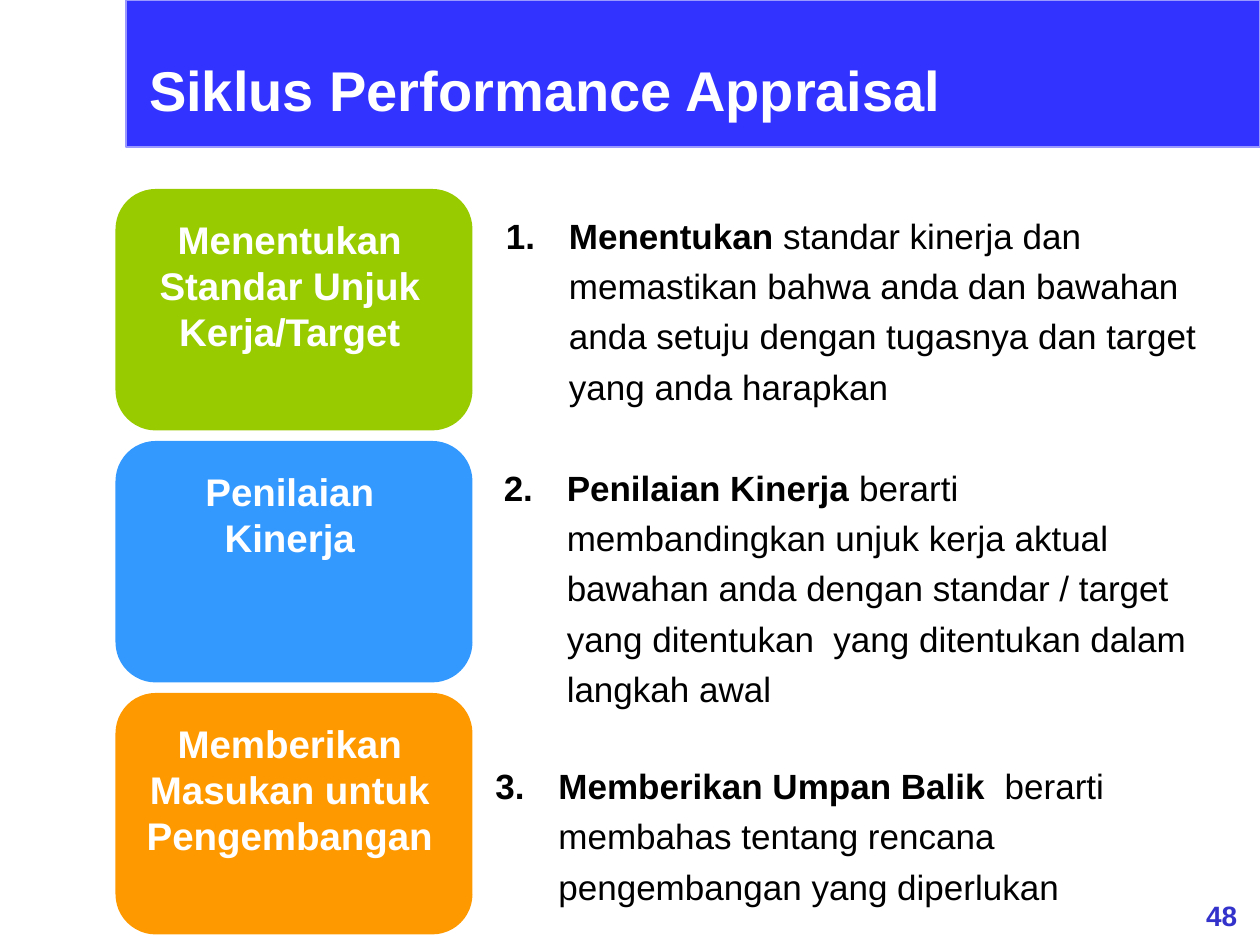
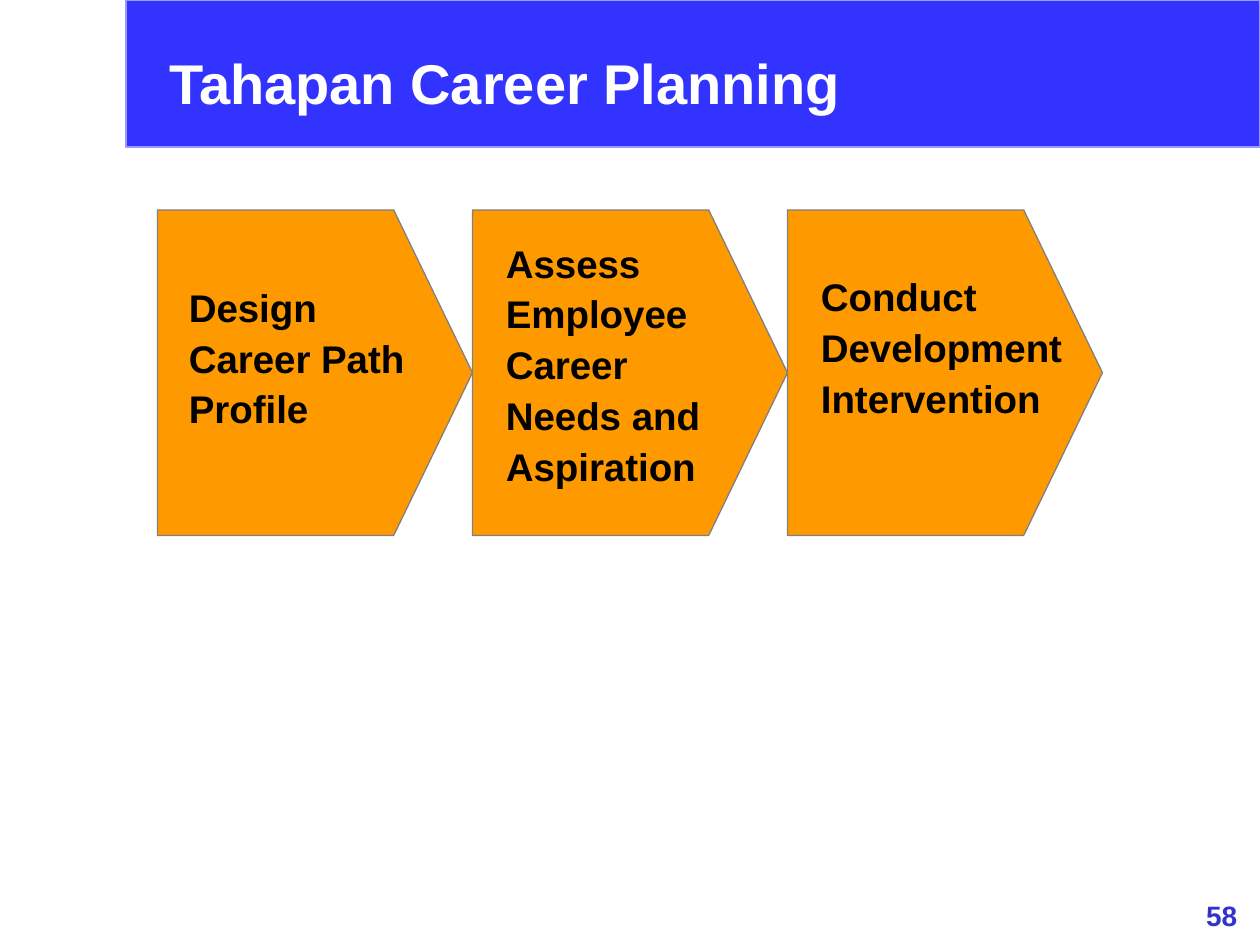
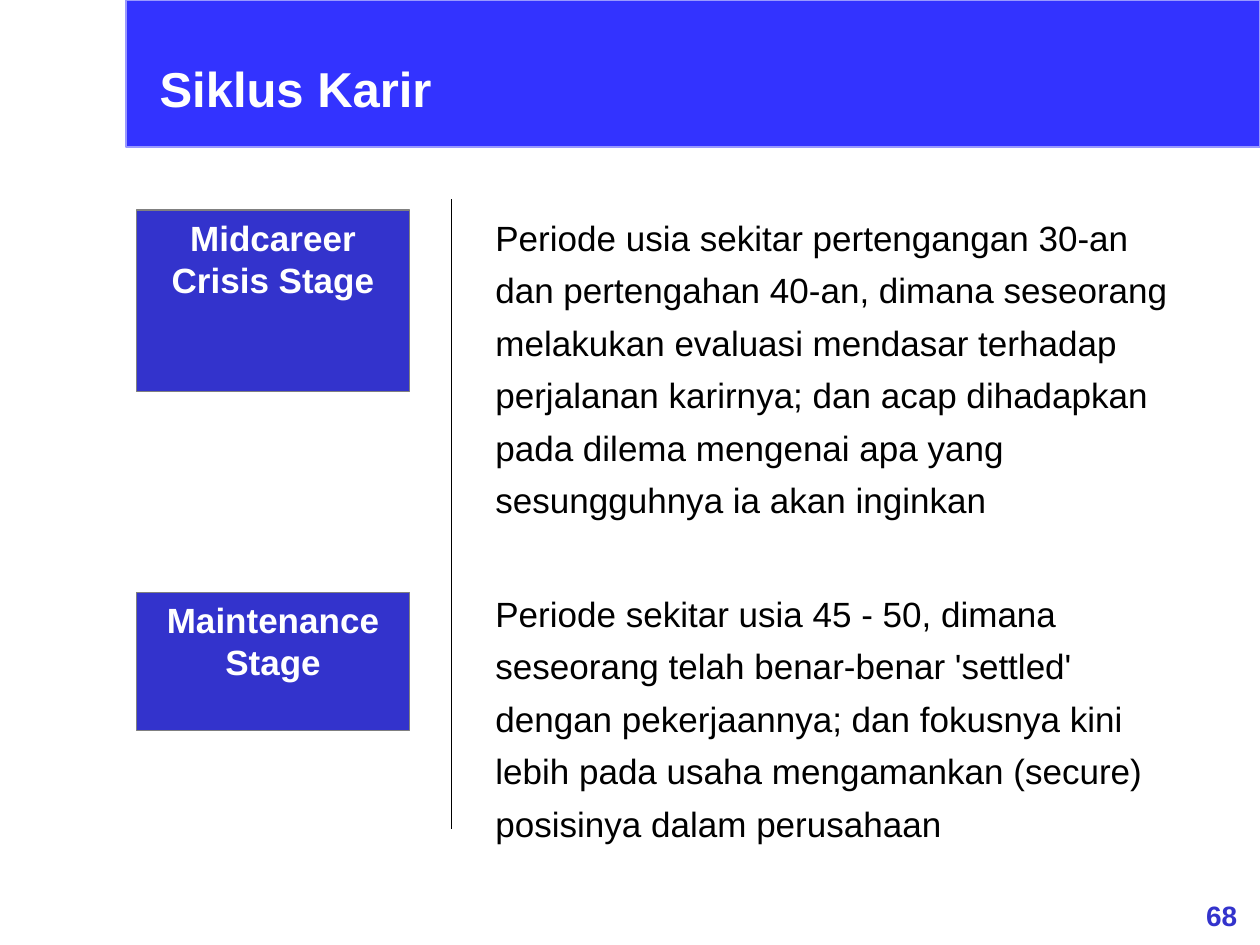
from lxml import etree
from pptx import Presentation
from pptx.dml.color import RGBColor
from pptx.enum.shapes import MSO_CONNECTOR, MSO_SHAPE
from pptx.enum.text import MSO_ANCHOR, MSO_AUTO_SIZE, PP_ALIGN
from pptx.oxml.ns import qn
from pptx.util import Pt

RECT = MSO_SHAPE.RECTANGLE
ROUND = MSO_SHAPE.ROUNDED_RECTANGLE
ARROW = MSO_SHAPE.PENTAGON
STRAIGHT = MSO_CONNECTOR.STRAIGHT
LEFT, CENTER = PP_ALIGN.LEFT, PP_ALIGN.CENTER
TOP, MIDDLE = MSO_ANCHOR.TOP, MSO_ANCHOR.MIDDLE
NO_FIT = MSO_AUTO_SIZE.NONE

EMU_PER_PX = 7620
FONT = "Arial"
WHITE, BLACK, GRAY = "FFFFFF", "000000", "808080"
BAND, BAND_LINE, NAVY = "3333FF", "9999FF", "3333CC"
GREEN, SKY, ORANGE = "99CC00", "3399FF", "FF9900"
LINE_WIDTH = Pt(0.75)
INDENT = 60


def px(n):
    return n * EMU_PER_PX


def rgb(color):
    return RGBColor.from_string(color)


def set_attrs(obj, values):
    for name, value in values.items():
        setattr(obj, name, value)


def write(sp, paragraphs, size, color, bold=True, align=LEFT, anchor=TOP, spacing=1.0):
    tf = sp.text_frame
    set_attrs(tf, {"word_wrap": True, "auto_size": NO_FIT, "vertical_anchor": anchor,
                   "margin_left": px(12), "margin_right": px(12),
                   "margin_top": px(6), "margin_bottom": px(6)})
    for i, runs in enumerate(paragraphs):
        p = tf.add_paragraph() if i else tf.paragraphs[0]
        set_attrs(p, {"alignment": align, "line_spacing": spacing})
        for j, text in enumerate(runs):
            r = p.add_run()
            r.text = text
            set_attrs(r.font, {"name": FONT, "size": Pt(size), "bold": bold and j == 0})
            r.font.color.rgb = rgb(color)
    return tf


def add_text(s, box, paragraphs, size, color, **fmt):
    sp = s.shapes.add_textbox(*map(px, box))
    return write(sp, paragraphs, size, color, **fmt)


def add_box(s, kind, box, fill, line=None):
    sp = s.shapes.add_shape(kind, *map(px, box))
    sp.shadow.inherit = False
    sp.fill.solid()
    sp.fill.fore_color.rgb = rgb(fill)
    if line:
        sp.line.color.rgb = rgb(line)
        sp.line.width = LINE_WIDTH
    else:
        sp.line.fill.background()
    return sp


def add_numbered(s, box, number, runs):
    tf = add_text(s, box, [runs], 20, BLACK, spacing=1.2)
    pPr = tf.paragraphs[0]._p.get_or_add_pPr()
    pPr.set("marL", str(px(INDENT)))
    pPr.set("indent", str(-px(INDENT)))
    clr = etree.SubElement(pPr, qn("a:buClr"))
    etree.SubElement(clr, qn("a:srgbClr")).set("val", BLACK)
    num = etree.SubElement(pPr, qn("a:buAutoNum"))
    num.set("type", "arabicPeriod")
    num.set("startAt", str(number))


def add_divider(s, x, top, bottom):
    cn = s.shapes.add_connector(STRAIGHT, px(x), px(top), px(x), px(bottom))
    cn.line.color.rgb = rgb(BLACK)
    cn.line.width = LINE_WIDTH
    etree.SubElement(cn.element.spPr, qn("a:effectLst"))


def add_slide(prs, title, box, number, size=32):
    s = prs.slides.add_slide(prs.slide_layouts[5])
    sp = s.shapes.title
    set_attrs(sp, dict(zip(("left", "top", "width", "height"), map(px, box))))
    write(sp, [[title]], size, WHITE, anchor=MIDDLE)
    add_text(s, (1127, 850, 73, 44), [[number]], 16, NAVY, align=CENTER)
    return s


def add_layout_band(s):
    band = add_box(s, RECT, (120, 0, 1080, 140), BAND, BAND_LINE)
    s.slide_layout.shapes.element.insert(2, band.element)


def appraisal_slide(prs):
    s = add_slide(prs, "Siklus Performance Appraisal", (130, 30, 990, 110), "48")
    add_layout_band(s)
    steps = [
        (GREEN, "Menentukan Standar Unjuk Kerja/Target", 144),
        (SKY, "Penilaian Kinerja", 101),
        (ORANGE, "Memberikan Masukan untuk Pengembangan", 144),
    ]
    for i, (color, label, height) in enumerate(steps):
        top = 180 + 240 * i
        add_box(s, ROUND, (110, top, 340, 230), color)
        add_text(s, (120, top + 20, 312, height), [[label]], 22, WHITE, align=CENTER)
    notes = [
        ((470, 190, 682, 204), "Menentukan ",
         "standar kinerja dan memastikan bahwa anda dan bawahan anda setuju "
         "dengan tugasnya dan target yang anda harapkan"),
        ((468, 430, 682, 252), "Penilaian Kinerja ",
         "berarti membandingkan unjuk kerja aktual bawahan anda dengan standar / "
         "target yang ditentukan  yang ditentukan dalam langkah awal"),
        ((460, 714, 682, 156), "Memberikan Umpan Balik  ",
         "berarti membahas tentang rencana pengembangan yang diperlukan"),
    ]
    for number, (box, *runs) in enumerate(notes, 1):
        add_numbered(s, box, number, runs)


def planning_slide(prs):
    s = add_slide(prs, "Tahapan Career Planning", (149, 40, 667, 77), "58")
    stages = [
        ((168, 260, 232, 157), "Design", "Career Path Profile"),
        ((470, 218, 240, 254), "Assess", "Employee Career Needs and Aspiration"),
        ((770, 250, 260, 157), "Conduct", "Development Intervention"),
    ]
    for i, (box, verb, rest) in enumerate(stages):
        arrow = add_box(s, ARROW, (150 + 300 * i, 200, 300, 310), ORANGE, GRAY)
        arrow.adjustments[0] = 0.25
        add_text(s, box, [[verb], [rest]], 22, BLACK, spacing=1.1)


def career_slide(prs):
    s = add_slide(prs, "Siklus Karir", (140, 50, 940, 68), "68", size=28)
    add_divider(s, 430, 190, 790)
    stages = [
        ("Midcareer Crisis Stage", 200, 173, 190, 312,
         "Periode usia sekitar pertengangan 30-an dan pertengahan 40-an, dimana "
         "seseorang melakukan evaluasi mendasar terhadap perjalanan karirnya; dan acap "
         "dihadapkan pada dilema mengenai apa yang sesungguhnya ia akan inginkan"),
        ("Maintenance Stage", 564, 132, 548, 263,
         "Periode sekitar usia 45 - 50, dimana seseorang telah benar-benar 'settled' "
         "dengan pekerjaannya; dan fokusnya kini lebih pada usaha mengamankan (secure) "
         "posisinya dalam perusahaan"),
    ]
    for name, top, height, text_top, text_height, text in stages:
        sp = add_box(s, RECT, (130, top, 260, height), NAVY, GRAY)
        write(sp, [[name]], 20, WHITE, align=CENTER)
        add_text(s, (460, text_top, 670, text_height), [[text]], 20, BLACK,
                 bold=False, spacing=1.25)


def main():
    prs = Presentation()
    prs.slide_width, prs.slide_height = px(1200), px(900)
    appraisal_slide(prs)
    planning_slide(prs)
    career_slide(prs)
    prs.save("out.pptx")


if __name__ == "__main__":
    main()
